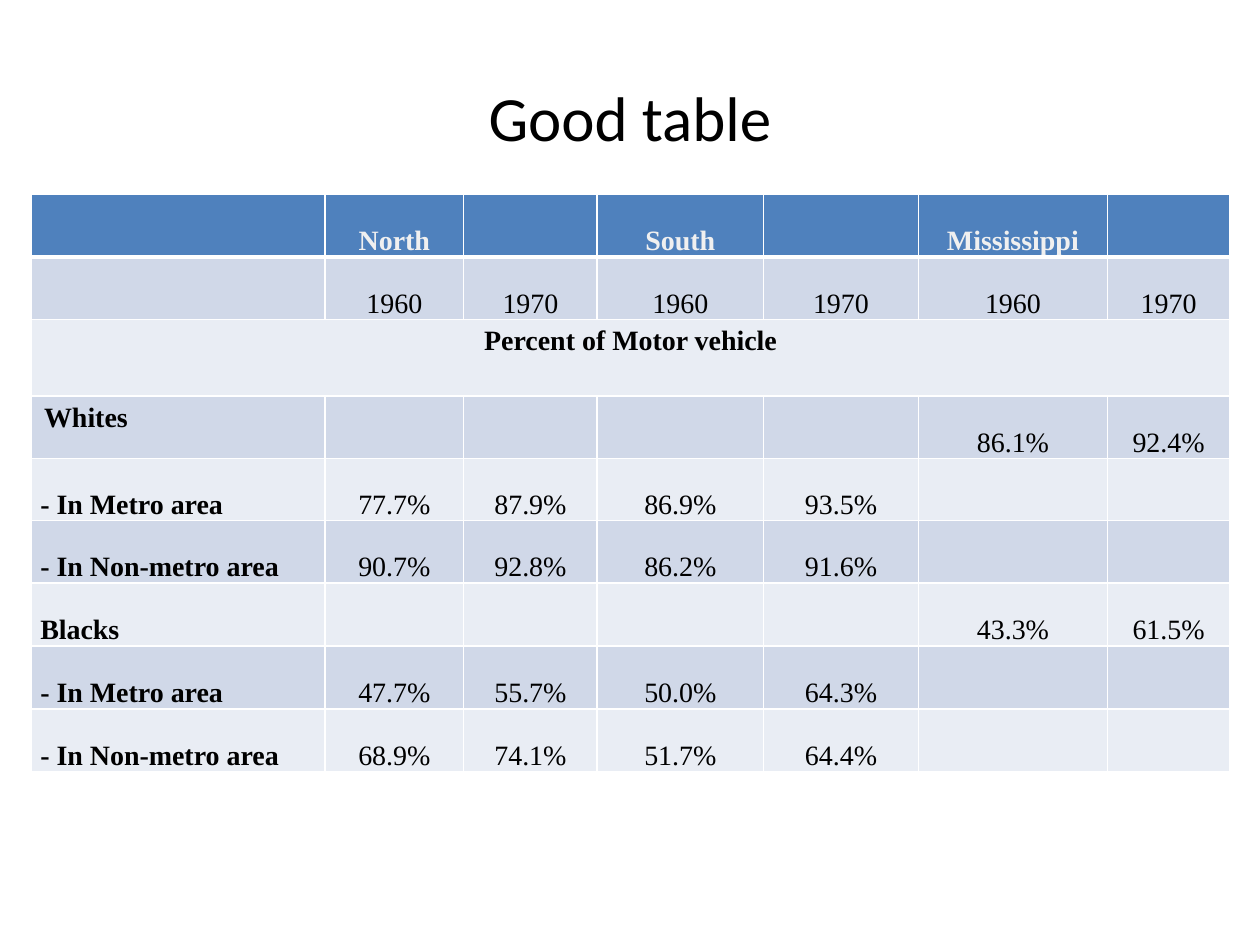
from lxml import etree
from pptx import Presentation
from pptx import util as u
from pptx.dml.color import RGBColor
from pptx.enum import text
from pptx.oxml import ns


def colour(value):
    return RGBColor.from_string(value)


def add_border(cell, side, width):
    properties = cell._tc.get_or_add_tcPr()
    line = etree.SubElement(properties, ns.qn(f"a:ln{side}"), w=str(u.Pt(width)))
    fill = etree.SubElement(line, ns.qn("a:solidFill"))
    etree.SubElement(fill, ns.qn("a:srgbClr"), val="FFFFFF")


presentation = Presentation()
presentation.slide_width = u.Inches(10)
presentation.slide_height = u.Inches(7.5)
slide = presentation.slides.add_slide(presentation.slide_layouts[5])
slide.background.fill.solid()
slide.background.fill.fore_color.rgb = colour("FFFFFF")

title = slide.shapes.title
title.left, title.top = u.Inches(0.5), u.Inches(0.3)
title.width, title.height = u.Inches(9), u.Inches(1.25)
title.text_frame.text = "Good table"
title.text_frame.vertical_anchor = text.MSO_ANCHOR.MIDDLE
paragraph = title.text_frame.paragraphs[0]
paragraph.alignment = text.PP_ALIGN.CENTER
paragraph.font.name = "Calibri"
paragraph.font.size = u.Pt(36)
paragraph.font.color.rgb = colour("000000")

rows = [
    ["", "North", "", "South", "", "Mississippi", ""],
    ["", "1960", "1970", "1960", "1970", "1960", "1970"],
    ["Percent of Motor vehicle", "", "", "", "", "", ""],
    ["Whites", "", "", "", "", "86.1%", "92.4%"],
    ["- In Metro area", "77.7%", "87.9%", "86.9%", "93.5%", "", ""],
    ["- In Non-metro area", "90.7%", "92.8%", "86.2%", "91.6%", "", ""],
    ["Blacks", "", "", "", "", "43.3%", "61.5%"],
    ["- In Metro area", "47.7%", "55.7%", "50.0%", "64.3%", "", ""],
    ["- In Non-metro area", "68.9%", "74.1%", "51.7%", "64.4%", "", ""],
]
widths = [2.33, 1.1, 1.06, 1.32, 1.23, 1.5, 0.97]
heights = [0.5, 0.43, 0.61, 0.43, 0.43, 0.43, 0.5, 0.5, 0.5]
single_spaced = ["Percent of Motor vehicle", "Whites"]

table = slide.shapes.add_table(
    len(rows), len(widths), u.Inches(0.25), u.Inches(1.54),
    u.Inches(sum(widths)), u.Inches(sum(heights))).table
for column, width in zip(table.columns, widths):
    column.width = u.Inches(width)
for row, height in zip(table.rows, heights):
    row.height = u.Inches(height)
table.cell(2, 0).merge(table.cell(2, len(widths) - 1))

for row_index, row in enumerate(rows):
    is_header = row_index == 0
    band = "4F81BD" if is_header else ["E9EDF4", "D0D8E8"][row_index % 2]
    for column_index, value in enumerate(row):
        cell = table.cell(row_index, column_index)
        for side in "LRTB":
            under_header = (row_index, side) in [(0, "B"), (1, "T")]
            add_border(cell, side, 3 if under_header else 1)
        cell.fill.solid()
        cell.fill.fore_color.rgb = colour(band)
        if not value:
            continue
        cell.text = value
        paragraph = cell.text_frame.paragraphs[0]
        if value not in single_spaced:
            cell.margin_left = cell.margin_right = u.Inches(0.07)
            cell.margin_top = cell.margin_bottom = 0
            paragraph.line_spacing = 2.0
        is_label = column_index == 0 and row_index > 2
        paragraph.alignment = text.PP_ALIGN.LEFT if is_label else text.PP_ALIGN.CENTER
        paragraph.font.name = "Times New Roman"
        paragraph.font.size = u.Pt(16)
        paragraph.font.bold = is_header or column_index == 0
        paragraph.font.color.rgb = colour("F0F0F0" if is_header else "000000")

presentation.save("out.pptx")
